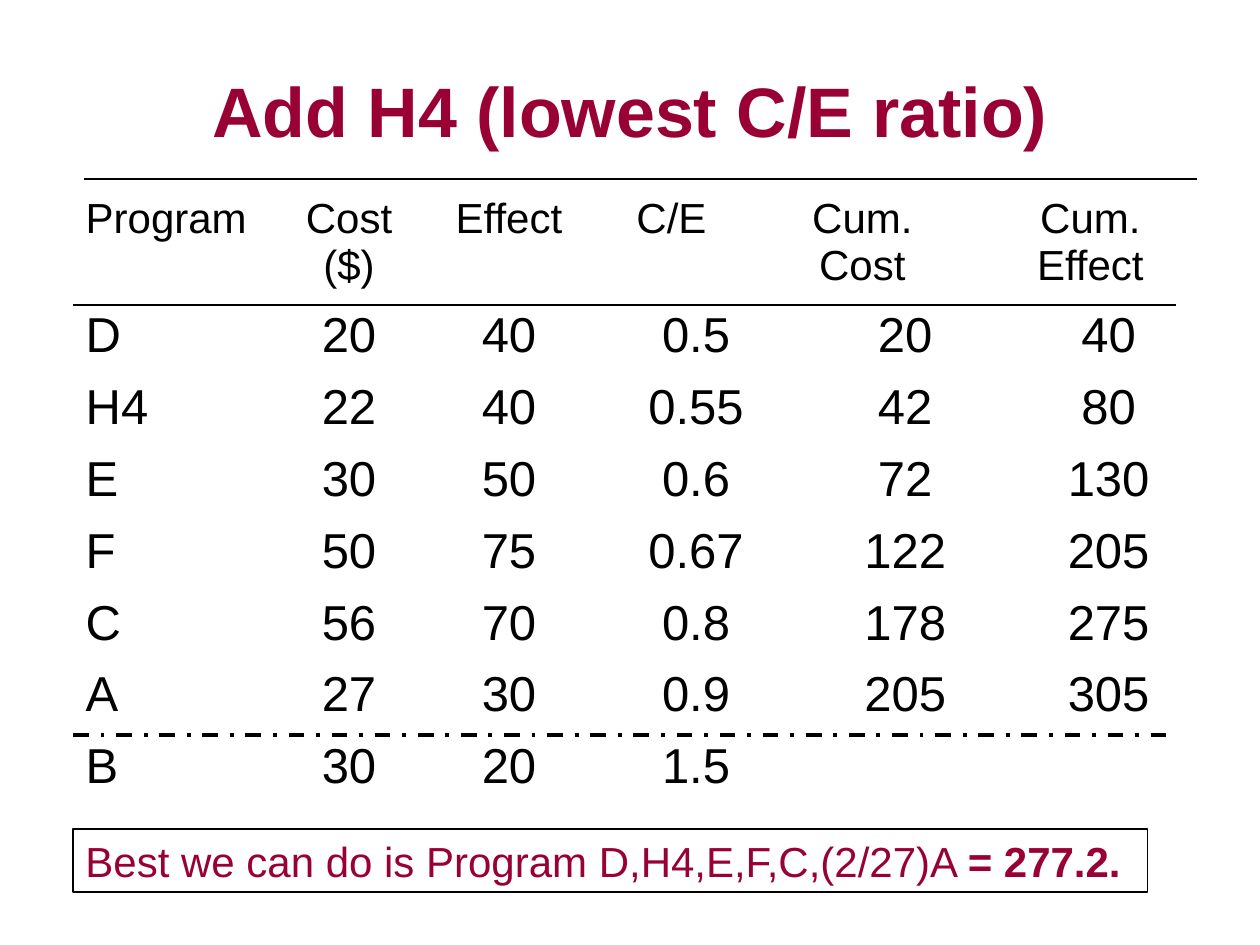
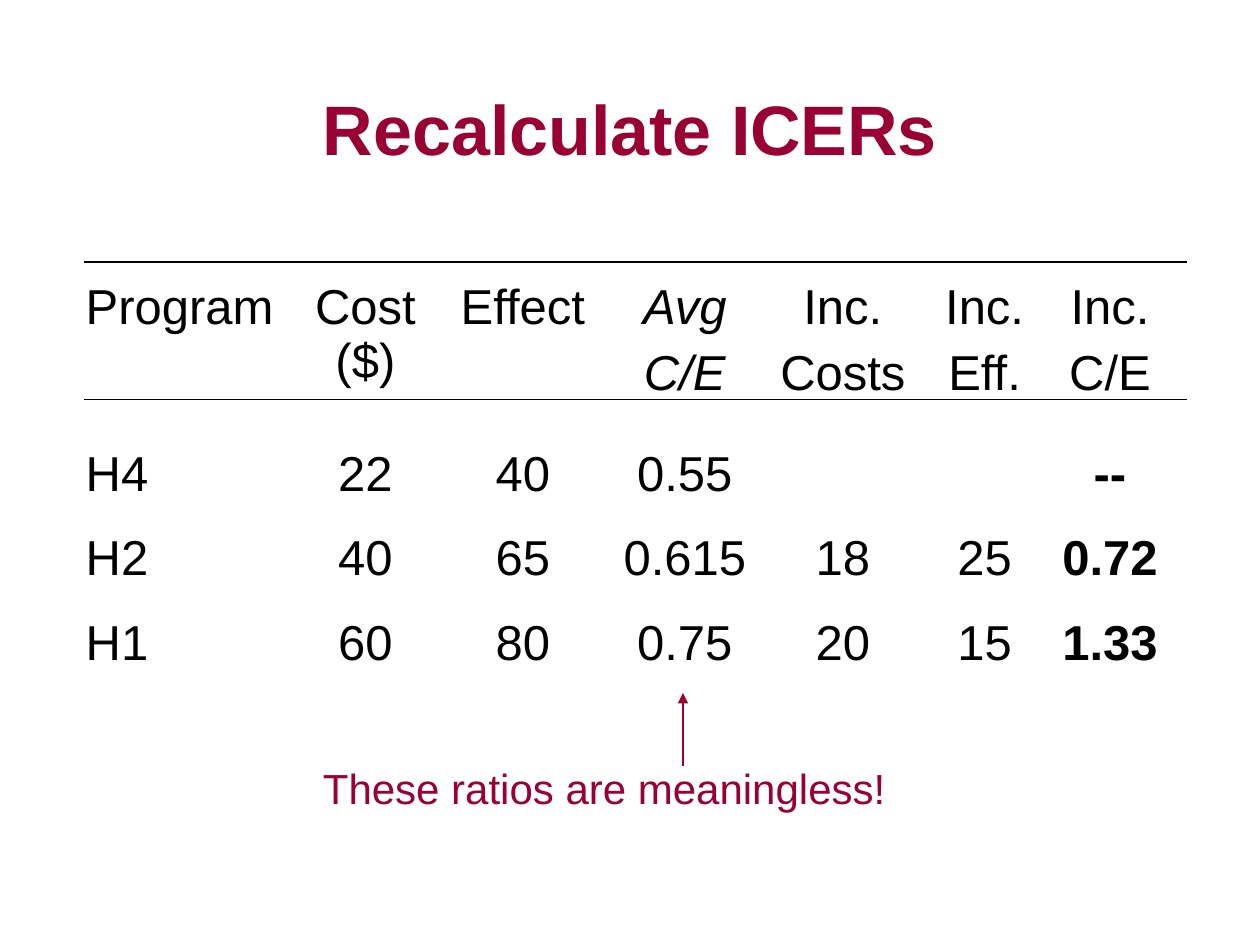
import pptx
import pptx.util
import pptx.dml.color
import pptx.enum.dml
import pptx.enum.shapes
import pptx.enum.text
import pptx.oxml

Inches, Pt = pptx.util.Inches, pptx.util.Pt
ALIGN, AUTOSIZE = pptx.enum.text.PP_ALIGN, pptx.enum.text.MSO_AUTO_SIZE

# Shared look
MAROON = pptx.dml.color.RGBColor(0x99, 0x00, 0x33)
BLACK = pptx.dml.color.RGBColor(0, 0, 0)
FONT = "Arial"
DRAWING_NS = 'xmlns:a="http://schemas.openxmlformats.org/drawingml/2006/main"'

# Programs ranked by C/E ratio; starts give the first grid column of each cell
RANKING = {
    "at": (0.58, 1.5),
    "columns": [1.58, 1.22, 1.32, 1.26, 0.39, 1.38, 0.29, 1.56],
    "row_heights": [0.9] + [0.57] * 7,
    "header_starts": [0, 1, 2, 3, 4, 6],
    "body_starts": [0, 1, 2, 3, 5, 7],
    "header_size": 24,
    "header": ["Program", "Cost ($)", "Effect", "C/E", "Cum. Cost", "Cum. Effect"],
    "body": [
        ["D", "20", "40", "0.5", "20", "40"],
        ["H4", "22", "40", "0.55", "42", "80"],
        ["E", "30", "50", "0.6", "72", "130"],
        ["F", "50", "75", "0.67", "122", "205"],
        ["C", "56", "70", "0.8", "178", "275"],
        ["A", "27", "30", "0.9", "205", "305"],
        ["B", "30", "20", "1.5", "", ""],
    ],
}
BEST_MIX = ["Best we can do is Program D,H4,E,F,C,(2/27)A ", "= 277.2."]

# Incremental ratios of the H programs
ICERS = {
    "at": (0.58, 2.17),
    "columns": [1.75, 1.14, 1.36, 1.21, 1.3, 0.95, 1.04],
    "row_heights": [1.33, 0.67, 0.67, 0.67, 0.57],
    "header_starts": range(7),
    "body_starts": range(7),
    "header_size": 28,
    "header": ["Program", "Cost ($)", "Effect", "Avg\nC/E", "Inc.\nCosts",
               "Inc.\nEff.", "Inc.\nC/E"],
    "body": [
        ["H4", "22", "40", "0.55", "", "", "--"],
        ["H2", "40", "65", "0.615", "18", "25", "0.72"],
        ["H1", "60", "80", "0.75", "20", "15", "1.33"],
        [""] * 7,
    ],
    "italic_header": 3,
    "bold_body": 6,
}
BODY_SIZE = 28


def style(paragraph, size, color, align=ALIGN.LEFT, bold=False, italic=False):
    paragraph.alignment = align
    font = paragraph.font
    font.name, font.size, font.color.rgb = FONT, Pt(size), color
    font.bold, font.italic = bold, italic


def add_titled_slide(deck, title, top, height):
    slide = deck.slides.add_slide(deck.slide_layouts[5])
    heading = slide.shapes.title
    heading.left, heading.top = Inches(0.75), Inches(top)
    heading.width, heading.height = Inches(8.5), Inches(height)
    frame = heading.text_frame
    frame.text = title
    frame.auto_size = AUTOSIZE.NONE
    frame.vertical_anchor = pptx.enum.text.MSO_ANCHOR.MIDDLE
    style(frame.paragraphs[0], 40, MAROON, ALIGN.CENTER, bold=True)
    return slide


def add_program_table(slide, content):
    columns, heights = content["columns"], content["row_heights"]
    left, top = content["at"]
    table = slide.shapes.add_table(
        len(heights), len(columns), Inches(left), Inches(top),
        Inches(sum(columns)), Inches(sum(heights))).table
    table.first_row = table.horz_banding = False
    for column, width in zip(table.columns, columns):
        column.width = Inches(width)
    for row, height in zip(table.rows, heights):
        row.height = Inches(height)
    for cell in table.iter_cells():
        cell.fill.background()

    for r, texts in enumerate([content["header"]] + content["body"]):
        is_header = r == 0
        starts = list(content["header_starts" if is_header else "body_starts"])
        size = content["header_size"] if is_header else BODY_SIZE
        ends = starts[1:] + [len(columns)]
        # Each cell runs up to the start of the next one
        for c, (text, start, end) in enumerate(zip(texts, starts, ends)):
            # Body figures sit in the wide column, with the narrow one before it
            cell = table.cell(r, start)
            if end - start > 1 and is_header:
                cell.merge(table.cell(r, end - 1))
            elif not is_header and c and start - starts[c - 1] > 1:
                pass
            if not text:
                continue
            cell.text = text
            for paragraph in cell.text_frame.paragraphs:
                paragraph.space_before = Pt(size // 4)
                style(paragraph, size, BLACK, ALIGN.CENTER if c else ALIGN.LEFT,
                      bold=not is_header and c == content.get("bold_body"),
                      italic=is_header and c == content.get("italic_header"))
        if not is_header:
            for start, end in zip(starts, ends):
                if end - start > 1:
                    table.cell(r, start).merge(table.cell(r, end - 1))


def add_rule(slide, start, end, width=1, color=BLACK, dash=None, arrow=False):
    rule = slide.shapes.add_connector(
        pptx.enum.shapes.MSO_CONNECTOR.STRAIGHT,
        *(Inches(value) for value in start + end))
    rule.line.color.rgb, rule.line.width = color, Pt(width)
    if dash:
        rule.line.dash_style = dash
    if arrow:
        rule.line._get_or_add_ln().append(
            pptx.oxml.parse_xml(f'<a:tailEnd {DRAWING_NS} type="triangle"/>'))
    rule._element.spPr.append(pptx.oxml.parse_xml(f"<a:effectLst {DRAWING_NS}/>"))


def add_note(slide, box, runs, align=ALIGN.LEFT):
    note = slide.shapes.add_textbox(*(Inches(value) for value in box))
    frame = note.text_frame
    frame.word_wrap, frame.auto_size = True, AUTOSIZE.SHAPE_TO_FIT_TEXT
    paragraph = frame.paragraphs[0]
    for text in runs:
        paragraph.add_run().text = text
    style(paragraph, 24, MAROON, align)
    return note


def main():
    deck = pptx.Presentation()
    deck.slide_width, deck.slide_height = Inches(10), Inches(7.5)

    # Ranking with the budget cut-off
    ranking = add_titled_slide(deck, "Add H4 (lowest C/E ratio)", 0.33, 1.08)
    add_program_table(ranking, RANKING)
    add_rule(ranking, (0.58, 2.42), (9.33, 2.42))
    add_rule(ranking, (0.67, 1.42), (9.5, 1.42))
    add_rule(ranking, (0.58, 5.83), (9.33, 5.83), 2.25,
             dash=pptx.enum.dml.MSO_LINE.DASH_DOT)
    best_mix = add_note(ranking, (0.58, 6.58, 8.53, 0.5), BEST_MIX)
    best_mix.line.color.rgb, best_mix.line.width = BLACK, Pt(0.75)
    best_mix.text_frame.paragraphs[0].runs[-1].font.bold = True

    # Incremental ratios with a remark on the average ones
    icers = add_titled_slide(deck, "Recalculate ICERs", 0.58, 0.87)
    add_program_table(icers, ICERS)
    for y in (2.08, 3.17):
        add_rule(icers, (0.67, y), (9.42, y))
    add_note(icers, (0.67, 6, 8.25, 0.5), ["These ratios are meaningless!"],
             ALIGN.CENTER)
    add_rule(icers, (5.42, 6.08), (5.42, 5.5), 0.75, MAROON, arrow=True)

    deck.save("out.pptx")


if __name__ == "__main__":
    main()
